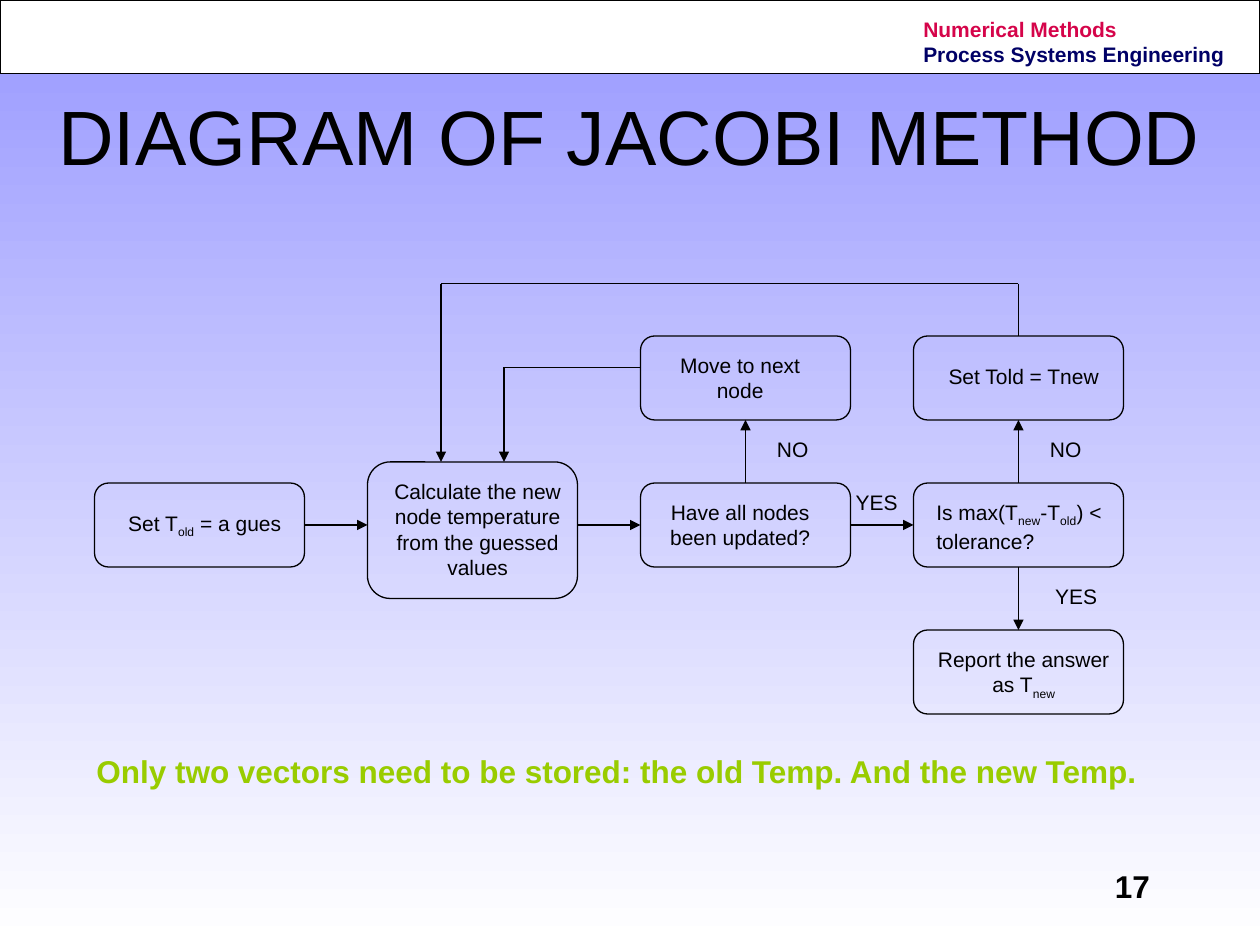
"""Build the Jacobi method flowchart slide."""
from lxml.etree import SubElement
from pptx import Presentation
from pptx.dml.color import RGBColor as RGB
from pptx.enum.shapes import MSO_CONNECTOR as CONN, MSO_SHAPE as SHAPE
from pptx.enum.text import MSO_ANCHOR as ANCHOR, PP_ALIGN as ALIGN
from pptx.oxml.ns import qn
from pptx.util import Pt

COLORS = {"ink": "000000", "paper": "FFFFFF", "sky": "9999FF",
          "red": "D5044A", "navy": "000066", "lime": "99CC00"}
LINE_W = 0.74
NODE_W, NODE_H = 120, 48
COL_STEP, ROW_STEP = 156, 84
CHART_BOX = (54, 162, 588, 246)


def rgb(name):
    return RGB.from_string(COLORS[name])


def add_run(p, text, color="ink", size=12, bold=False, sub=False):
    r = p.add_run()
    r.text = text
    fmt = {"name": "Arial", "size": Pt(size), "bold": bold}
    for key, value in fmt.items():
        setattr(r.font, key, value)
    r.font.color.rgb = rgb(color)
    if sub:
        r._r.get_or_add_rPr().set("baseline", "-25000")


def add_text(s, box, lines, align=ALIGN.CENTER, **style):
    """Each line is a string in which parts between underscores are subscript."""
    tf = s.shapes.add_textbox(*map(Pt, box)).text_frame
    tf.word_wrap = True
    for i, line in enumerate(lines):
        p = tf.paragraphs[0] if i == 0 else tf.add_paragraph()
        p.alignment = align
        for j, part in enumerate(line.split("_")):
            if part:
                add_run(p, part, sub=j % 2 == 1, **style)
    return tf


def add_box(s, kind, box, fill=None):
    sp = s.shapes.add_shape(kind, *map(Pt, box))
    sp.shadow.inherit = False
    if fill:
        sp.fill.solid()
        sp.fill.fore_color.rgb = rgb(fill)
    else:
        sp.fill.background()
    sp.line.color.rgb = rgb("ink")
    sp.line.width = Pt(LINE_W)
    return sp


def add_path(s, points):
    """Draw straight segments through the points, with an arrowhead at the end."""
    for start, end in zip(points, points[1:]):
        c = s.shapes.add_connector(CONN.STRAIGHT, *map(Pt, start + end))
        c.line.color.rgb = rgb("ink")
        c.line.width = Pt(LINE_W)
        if end == points[-1]:
            SubElement(c.line._get_or_add_ln(), qn("a:tailEnd"), type="triangle")
        SubElement(c._element.spPr, qn("a:effectLst"))


def add_background(s):
    fill = s.background.fill
    fill.gradient()
    fill.gradient_angle = 270
    for stop, position, color in zip(fill.gradient_stops, (0, 1), ("sky", "paper")):
        stop.position = position
        stop.color.rgb = rgb(color)


def add_header(s, box):
    x, y, w, h = box
    add_box(s, SHAPE.RECTANGLE, box, "paper")
    tf = add_text(s, (x + w - 199.5, y + 6, 198, 36), ["Numerical Methods"],
                  ALIGN.LEFT, color="red", bold=True)
    add_run(tf.add_paragraph(), "Process Systems Engineering", "navy", bold=True)


def add_title(s, box, text):
    title = s.shapes.title
    for key, value in zip(("left", "top", "width", "height"), box):
        setattr(title, key, Pt(value))
    tf = title.text_frame
    tf.vertical_anchor = ANCHOR.MIDDLE
    p = tf.paragraphs[0]
    p.alignment = ALIGN.CENTER
    add_run(p, text, size=44)


def add_flowchart(s, box):
    x, y, w, h = box
    col = [x + i * COL_STEP for i in range(4)]
    row = [y + 30 + i * ROW_STEP for i in range(3)]
    mid = [c + NODE_W / 2 for c in col]
    axis = row[1] + NODE_H / 2
    calc_top = row[1] - 12
    nodes = [
        (col[0], row[1], NODE_H, 6, 12, 114, "Set T_old_ = a gues"),
        (col[1], calc_top, 78, 6, 6, 114,
         "Calculate the new node temperature from the guessed values"),
        (col[2], row[1], NODE_H, 0, 6, 114, "Have all nodes been updated?"),
        (col[2], row[0], NODE_H, 6, 6, 102, "Move to next node"),
        (col[3], row[0], NODE_H, 6, 12, 114, "Set Told = Tnew"),
        (col[3], row[1], NODE_H, 6, 6, 126, "Is max(T_new_-T_old_) < tolerance?"),
        (col[3], row[2], NODE_H, 6, 6, 114, "Report the answer as T_new_"),
    ]
    for left, top, height, dx, dy, text_w, text in nodes:
        add_box(s, SHAPE.ROUNDED_RECTANGLE, (left, top, NODE_W, height))
        align = ALIGN.LEFT if text.startswith("Is max") else ALIGN.CENTER
        add_text(s, (left + dx, top + dy, text_w, height - 2 * dy), [text], align)

    for left, right in zip(col, col[1:]):
        add_path(s, [(left + NODE_W, axis), (right, axis)])
    for center in mid[2:]:
        add_path(s, [(center, row[1]), (center, row[0] + NODE_H)])
    add_path(s, [(mid[3], row[1] + NODE_H), (mid[3], row[2])])
    next_y = row[0] + 18
    add_path(s, [(col[2], next_y), (col[1] + 78, next_y), (col[1] + 78, calc_top)])
    add_path(s, [(mid[3], row[0]), (mid[3], y), (col[1] + 42, y),
                 (col[1] + 42, calc_top)])

    labels = [("NO", col[2] + 30, row[1] - 30), ("NO", col[3] + 30, row[1] - 30),
              ("YES", col[2] + 78, row[1]), ("YES", col[3] + 36, row[2] - 30)]
    for text, left, top in labels:
        add_text(s, (left, top, 114, 21.6), [text])


def add_footer(s, box, note, number):
    x, y, w, h = box
    style = {"align": ALIGN.LEFT, "size": 18, "bold": True}
    add_text(s, (x, y, w, 28.8), [note], color="lime", **style)
    add_text(s, (x + w - 48, y + h - 28.8, 54, 28.8), [number], **style)


def main():
    prs = Presentation()
    prs.slide_width, prs.slide_height = Pt(720), Pt(540)
    s = prs.slides.add_slide(prs.slide_layouts[5])
    add_background(s)
    add_header(s, (0, 0, 720, 42))
    add_title(s, (0, 42, 720, 70), "DIAGRAM OF JACOBI METHOD")
    add_flowchart(s, CHART_BOX)
    add_footer(s, (48, 426, 630, 94.8),
               "Only two vectors need to be stored: the old Temp. And the new Temp.",
               "17")
    prs.save("out.pptx")


main()
